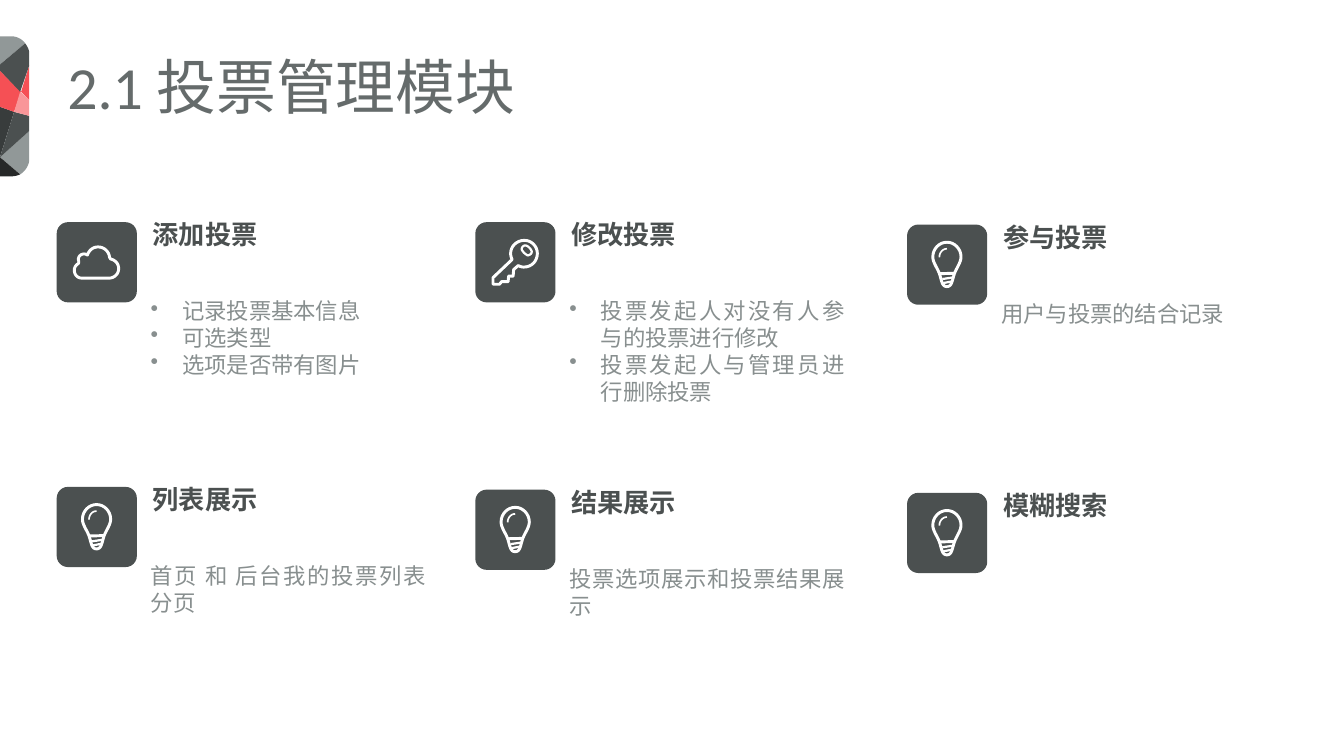
from pptx import Presentation
from pptx.dml.color import RGBColor
from pptx.enum.shapes import MSO_SHAPE
from pptx.enum.text import MSO_AUTO_SIZE, PP_ALIGN
from pptx.util import Cm, Pt

ROUNDED = MSO_SHAPE.ROUNDED_RECTANGLE
JUSTIFY = PP_ALIGN.JUSTIFY
GROW = MSO_AUTO_SIZE.SHAPE_TO_FIT_TEXT
FONT = "Calibri"
COLORS = {
    "title": "656B6B", "dark": "4B5050", "body": "888F8F", "white": "FFFFFF",
    "grey": "919898", "slate": "383C3C", "black": "262828",
    "red": "F55055", "pink": "F99699",
}
UNIT = 0.0254
CURVE_STEPS = 8
TILE = 2.02

BADGE = [
    ("grey", [(29, 130), (0, 156), (20, 173), (25, 170, 29, 164, 29, 158)]),
    ("slate", [(14, 111), (0, 106), (0, 156)]),
    ("dark", [(14, 111), (0, 156), (29, 130), (29, 115)]),
    ("black", [(20, 173), (0, 156), (0, 175), (11, 175), (14, 175, 18, 174, 20, 173)]),
    ("grey", [(0, 64), (25, 43), (22, 39, 17, 36, 11, 36), (0, 36)]),
    ("red", [(29, 65), (21, 91), (29, 99)]),
    ("red", [(14, 111), (21, 91), (0, 70), (0, 106)]),
    ("dark", [(0, 70), (20, 91), (29, 65), (29, 53), (29, 49, 27, 46, 25, 43), (0, 64)]),
    ("pink", [(29, 99), (20, 91), (14, 111), (29, 115)]),
]
CLOUD = [
    (2.1, True, [
        (52, 55.5), (25, 55.5), (20.5, 55.5, 17.5, 52, 17.5, 47.5),
        (17.5, 45, 19, 42.5, 21.5, 41), (22.5, 39.5, 21.5, 38, 21.5, 37),
        (21.5, 34, 24, 31.5, 27, 31.5), (28.5, 31.5, 29.5, 32, 30.5, 32.5),
        (32, 28, 36, 24.5, 41, 24.5), (47, 24.5, 52, 29, 52.5, 35), (53.5, 36.5),
        (58, 37.5, 61.5, 41, 61.5, 46), (61.5, 51.5, 57, 55.5, 52, 55.5)]),
]
KEY = [
    (2.1, True, [
        (48, 44.5), (46, 44.5, 44, 43.8, 42.5, 43), (38, 47), (37.5, 53.5),
        (33, 53.5), (32.5, 59), (26, 59), (24, 61.5), (17.5, 61.5), (17.5, 55),
        (36.5, 37), (35.5, 35, 35, 33, 35, 31), (35, 24, 41, 18, 48.5, 18),
        (56, 18, 61.5, 24, 61.5, 31), (61.5, 38.5, 56, 44.5, 48, 44.5)]),
    (1.6, True, [
        (46, 27), (46, 24.5, 48, 23, 50, 23), (53, 24, 55, 26.5, 56, 29),
        (56, 31.5, 54, 32.5, 52, 33), (50, 32, 47, 29.5, 46, 27)]),
]
BULB = [
    (2.1, True, [
        (39.5, 17.5), (47, 17.5, 53.5, 24, 53.5, 32), (53.5, 37.5, 49.5, 42, 47, 48.5),
        (44.5, 56, 44.5, 61.5, 39.5, 61.5), (34.5, 61.5, 34.5, 56, 32, 48.5),
        (29.5, 42, 25.5, 37.5, 25.5, 32), (25.5, 24, 32, 17.5, 39.5, 17.5)]),
    (2.1, False, [(32, 48.7), (47, 48.3)]),
    (1.6, False, [(35, 54), (45, 52.5)]),
    (1.6, False, [(36, 58), (44, 56.5)]),
    (1.2, False, [(32, 32.5), (32, 28, 35, 24, 39.5, 24)]),
]
CARDS = [
    (1.43, 5.6, CLOUD, "添加投票", ["记录投票基本信息", "可选类型", "选项是否带有图片"]),
    (11.98, 5.6, KEY, "修改投票",
     ["投票发起人对没有人参与的投票进行修改", "投票发起人与管理员进行删除投票"]),
    (22.86, 5.66, BULB, "参与投票", ["用户与投票的结合记录"]),
    (1.43, 12.27, BULB, "列表展示", ["首页 和 后台我的投票列表分页"]),
    (11.98, 12.34, BULB, "结果展示", ["投票选项展示和投票结果展示"]),
    (22.86, 12.42, BULB, "模糊搜索", []),
]


def rgb(name):
    """Return the named colour."""
    return RGBColor.from_string(COLORS[name])


def flatten(outline):
    """Turn lines (x, y) and cubic curves (six numbers) into points."""
    points = [outline[0]]
    for seg in outline[1:]:
        if len(seg) == 2:
            points.append(seg)
            continue
        ends = [points[-1], seg[:2], seg[2:4], seg[4:]]
        for i in range(1, CURVE_STEPS + 1):
            t = i / CURVE_STEPS
            weights = ((1 - t) ** 3, 3 * t * (1 - t) ** 2, 3 * t * t * (1 - t), t ** 3)
            points.append(tuple(sum(w * e[k] for w, e in zip(weights, ends)) for k in (0, 1)))
    return points


def add_outline(shapes, outline, x=0, y=0, fill=None, width=None, closed=True):
    """Draw an outline, either filled or as a white stroke."""
    points = [(Cm(x + px * UNIT), Cm(y + py * UNIT)) for px, py in flatten(outline)]
    builder = shapes.build_freeform(*points[0])
    builder.add_line_segments(points[1:], close=closed)
    sp = builder.convert_to_shape()
    sp.shadow.inherit = False
    if fill:
        sp.fill.solid()
        sp.fill.fore_color.rgb = rgb(fill)
        sp.line.fill.background()
    else:
        sp.fill.background()
        sp.line.color.rgb = rgb("white")
        sp.line.width = Pt(width)


def add_bullet(p):
    """Give a paragraph a hanging round bullet."""
    pPr = p._p.get_or_add_pPr()
    pPr.set("marL", str(Cm(0.79)))
    pPr.set("indent", str(-Cm(0.79)))
    bullet = pPr.makeelement(pPr.tag.replace("}pPr", "}buChar"), {"char": "•"})
    pPr.append(bullet)


def add_text(shapes, lines, x, y, w, h, size, color, bold=False, body=False):
    """Add a text box holding a heading or body paragraphs."""
    tf = shapes.add_textbox(Cm(x), Cm(y), Cm(w), Cm(h)).text_frame
    tf.word_wrap = True
    if body:
        tf.auto_size = GROW
    else:
        tf.margin_left = tf.margin_right = tf.margin_top = tf.margin_bottom = 0
    for i, line in enumerate(lines):
        p = tf.paragraphs[0] if i == 0 else tf.add_paragraph()
        if body:
            p.alignment = JUSTIFY
            if len(lines) > 1:
                add_bullet(p)
        else:
            p.line_spacing = 0.9
            p.space_before = Pt(7.5)
        r = p.add_run()
        r.text = line
        r.font.name = FONT
        r.font.size = Pt(size)
        r.font.bold = bold
        r.font.color.rgb = rgb(color)


def add_card(s, x, y, icon, heading, lines):
    """Add an icon tile with its heading and description."""
    shapes = s.shapes.add_group_shape().shapes
    tile = shapes.add_shape(ROUNDED, Cm(x), Cm(y), Cm(TILE), Cm(TILE))
    tile.adjustments[0] = 0.14
    tile.shadow.inherit = False
    tile.fill.solid()
    tile.fill.fore_color.rgb = rgb("dark")
    tile.line.fill.background()
    for width, closed, outline in icon:
        add_outline(shapes, outline, x, y, width=width, closed=closed)
    add_text(shapes, [heading], x + 2.42, y, 6.83, 2.27, 18.7, "dark", bold=True)
    if lines:
        add_text(shapes, lines, x + 2.12, y + 1.77, 7.44, 0.94, 16, "body", body=True)


def main():
    """Build the slide and save it."""
    prs = Presentation()
    prs.slide_width, prs.slide_height = Cm(33.87), Cm(19.05)
    s = prs.slides.add_slide(prs.slide_layouts[6])
    add_text(s.shapes, ["2.1 投票管理模块"], 1.7, 1.45, 17.78, 1.5, 42.7, "title")
    badge = s.shapes.add_group_shape().shapes
    for fill, outline in BADGE:
        add_outline(badge, outline, fill=fill)
    for card in CARDS:
        add_card(s, *card)
    prs.save("out.pptx")


if __name__ == "__main__":
    main()
